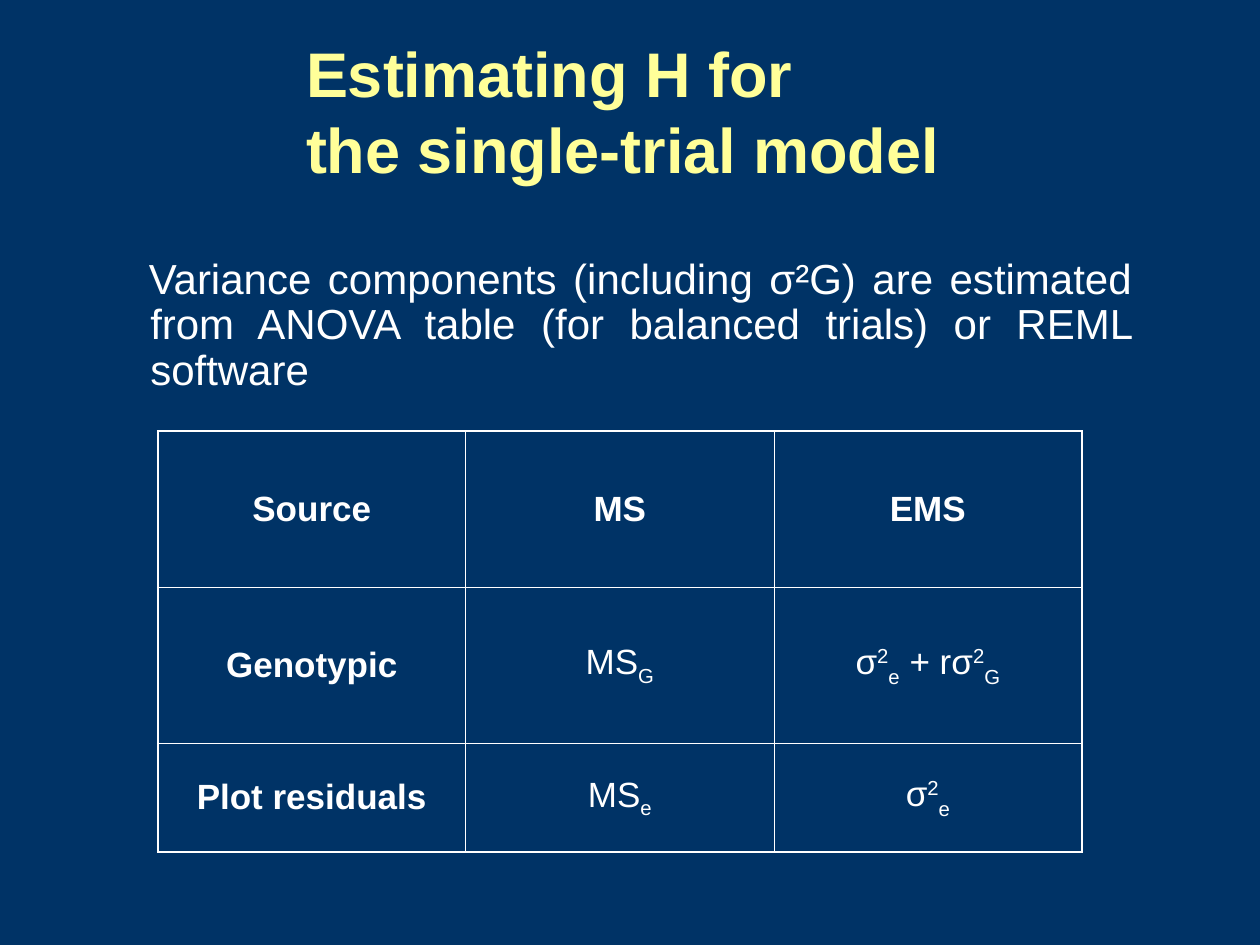
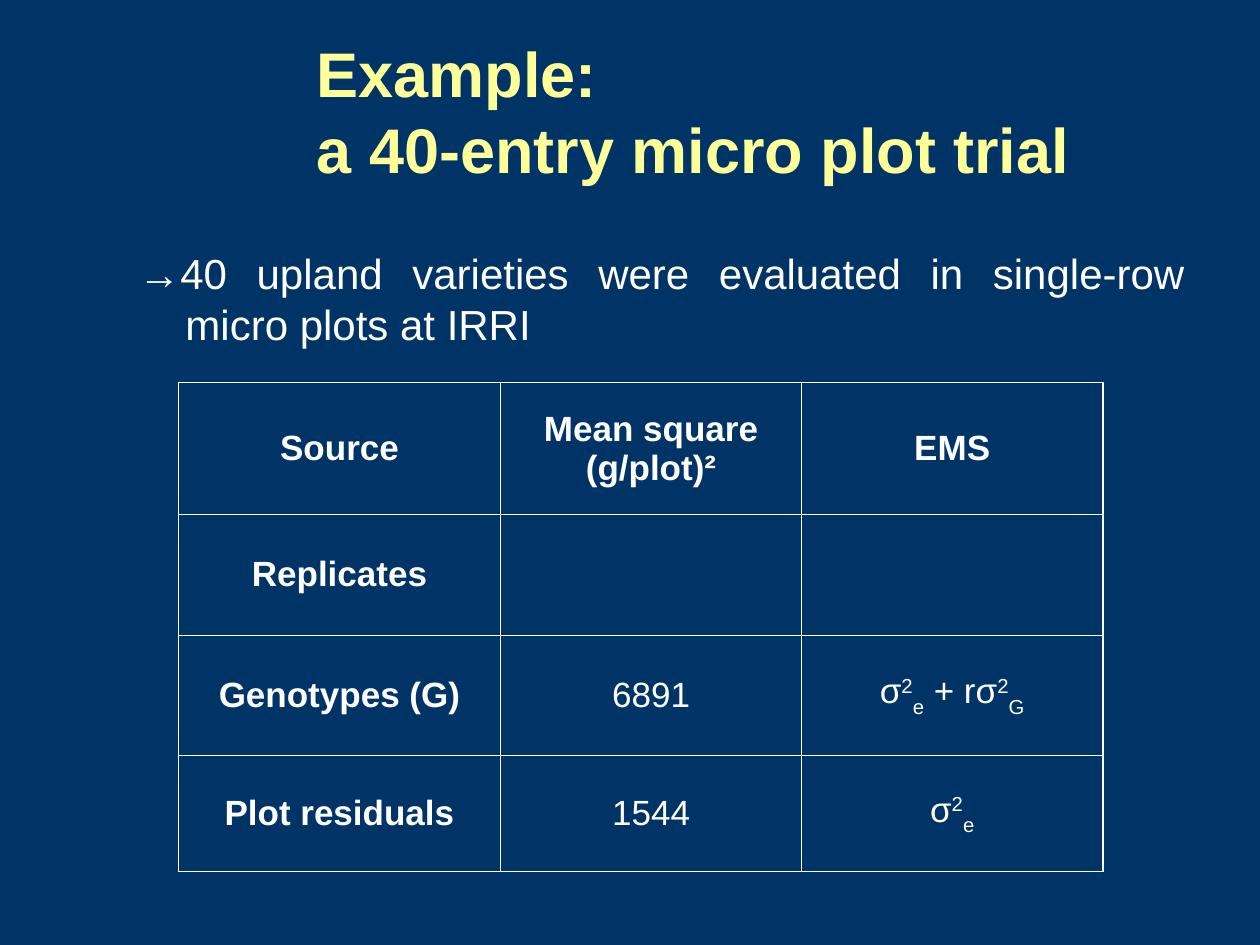
from lxml import etree
from pptx import Presentation
from pptx.dml.color import RGBColor
from pptx.enum.text import MSO_ANCHOR, PP_ALIGN
from pptx.oxml.ns import qn
from pptx.util import Cm, Pt

LEFT, MID, JUST = PP_ALIGN.LEFT, PP_ALIGN.CENTER, PP_ALIGN.JUSTIFY
TOP, CENTRE = MSO_ANCHOR.TOP, MSO_ANCHOR.MIDDLE
FONT = "Arial"
HUES = {"back": "003366", "title": "FFFF99", "text": "FFFFFF"}
# Each mark raises or lowers the one letter after it
MARKS = {"^": 30000, "_": -30000, "~": -25000}
THICK, THIN = Pt(1.08), Pt(0.45)

# Lengths in the data are centimetres
SLIDES = [
    {
        "title": "Estimating H for\vthe single-trial model",
        "head": (5.92, 0.64, 19.05, 3.18),
        "body": "Variance components (including σ²G) are estimated from "
                "ANOVA table (for balanced trials) or REML software",
        "box": (1.48, 5.08, 21.59, 3.18),
        "indent": (1.3, -0.03),
        "pitch": 0.9,
        "place": (3.18, 8.69),
        "cols": (6.21, 6.21, 6.21),
        "rows": (3.15, 3.15, 2.18),
        "cells": [
            ("Source", "MS", "EMS"),
            ("Genotypic", "MS~G", "σ^2_e + rσ^2_G"),
            ("Plot residuals", "MS~e", "σ^2_e"),
        ],
    },
    {
        "title": "Example:\va 40-entry micro plot trial",
        "head": (6.14, 0.64, 18.84, 3.18),
        "body": "→40 upland varieties were evaluated in single-row "
                "micro plots at IRRI",
        "box": (2.54, 4.87, 21.59, 2.33),
        "indent": (0.95, -0.95),
        "pitch": 1.0,
        "place": (3.6, 7.71),
        "cols": (6.49, 6.07, 6.07),
        "rows": (2.66, 2.43, 2.43, 2.34),
        "cells": [
            ("Source", "Mean square (g/plot)²", "EMS"),
            ("Replicates", "", ""),
            ("Genotypes (G)", "6891", "σ^2_e + rσ^2_G"),
            ("Plot residuals", "1544", "σ^2_e"),
        ],
    },
]


def style(run, size, hue, bold):
    run.font.name = FONT
    run.font.size = Pt(size)
    run.font.bold = bold
    run.font.color.rgb = RGBColor.from_string(HUES[hue])


def write(slide, box, text, size, hue, bold, align, anchor):
    frame = slide.shapes.add_textbox(*map(Cm, box)).text_frame
    frame.word_wrap = True
    frame.vertical_anchor = anchor
    para = frame.paragraphs[0]
    para.text = text
    para.alignment = align
    for run in para.runs:
        style(run, size, hue, bold)
    return para


deck = Presentation()
deck.slide_width, deck.slide_height = Cm(25.4), Cm(19.05)

# Shared background
fill = deck.slide_master.background.fill
fill.solid()
fill.fore_color.rgb = RGBColor.from_string(HUES["back"])

for data in SLIDES:
    slide = deck.slides.add_slide(deck.slide_layouts[6])

    # Title and body text
    write(slide, data["head"], data["title"], 36, "title", True, LEFT, CENTRE)
    para = write(slide, data["box"], data["body"], 24, "text", False, JUST, TOP)
    para.line_spacing = data["pitch"]
    props = para._p.get_or_add_pPr()
    for name, size in zip(("marL", "indent"), data["indent"]):
        props.set(name, str(Cm(size)))

    # Table grid
    cols, rows = data["cols"], data["rows"]
    place = (*data["place"], sum(cols), sum(rows))
    table = slide.shapes.add_table(len(rows), len(cols), *map(Cm, place)).table
    table.first_row = table.horz_banding = False
    for col, width in zip(table.columns, cols):
        col.width = Cm(width)
    for row, height in zip(table.rows, rows):
        row.height = Cm(height)

    for y, line in enumerate(data["cells"]):
        for x, text in enumerate(line):
            cell = table.cell(y, x)
            cell.vertical_anchor = CENTRE

            # Thick borders on the outside, thin ones within
            edges = {"lnL": x == 0, "lnR": x == len(cols) - 1,
                     "lnT": y == 0, "lnB": y == len(rows) - 1}
            props = cell._tc.get_or_add_tcPr()
            for tag, outer in edges.items():
                edge = etree.SubElement(props, qn("a:" + tag),
                                        w=str(THICK if outer else THIN))
                solid = etree.SubElement(edge, qn("a:solidFill"))
                etree.SubElement(solid, qn("a:srgbClr"), val=HUES["text"])
            cell.fill.background()

            # Cell text, cut into runs at the marks
            para = cell.text_frame.paragraphs[0]
            para.alignment = MID
            parts, shift = [], 0
            for char in text:
                if char in MARKS:
                    shift = MARKS[char]
                    continue
                if parts and parts[-1][1] == shift:
                    parts[-1][0] += char
                else:
                    parts.append([char, shift])
                shift = 0
            for part, shift in parts:
                run = para.add_run()
                run.text = part
                style(run, 20, "text", x == 0 or y == 0)
                if shift:
                    run.font._element.set("baseline", str(shift))

deck.save("out.pptx")
